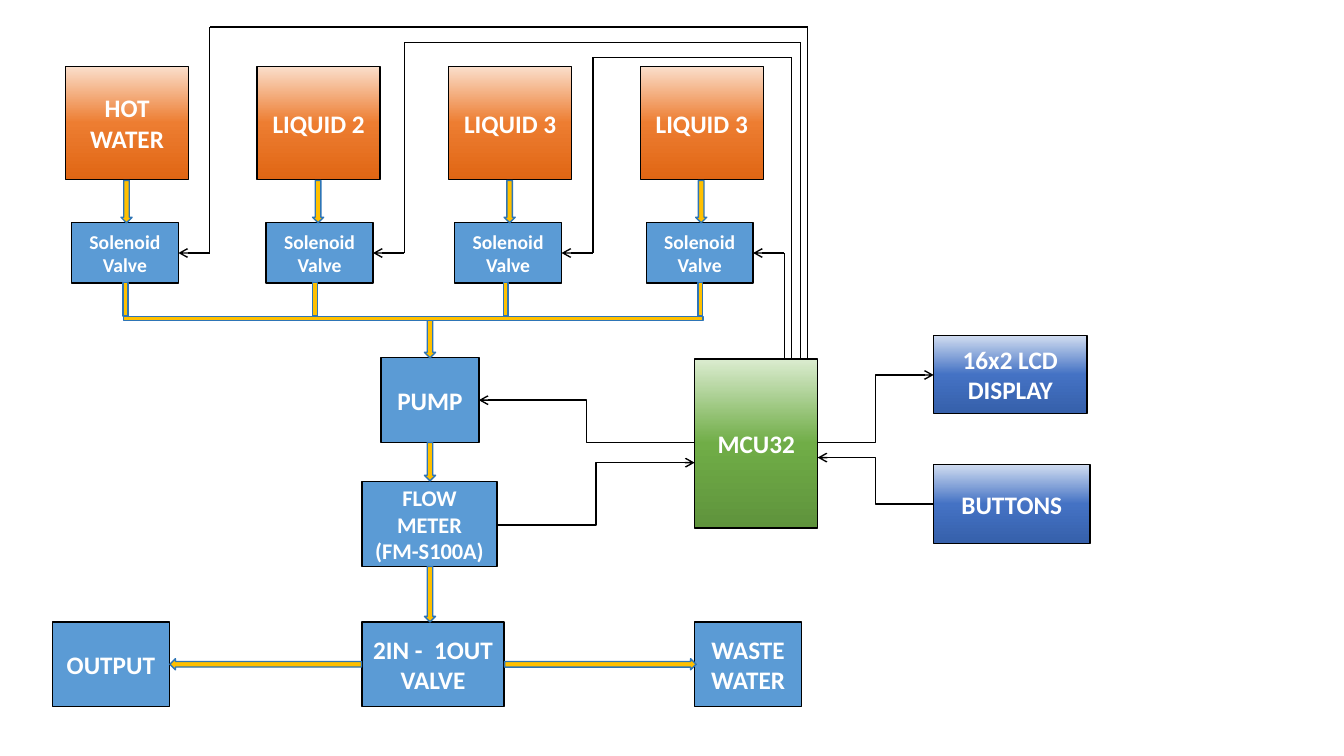
from copy import deepcopy
from itertools import pairwise

from lxml.etree import SubElement
from pptx import Presentation
from pptx.dml.color import RGBColor
from pptx.enum.shapes import MSO_CONNECTOR as Link, MSO_SHAPE as Shape
from pptx.enum.text import MSO_ANCHOR, PP_ALIGN
from pptx.oxml.ns import qn
from pptx.util import Inches, Pt

COLORS = {
    "black": "000000", "white": "FFFFFF", "blue": "5B9BD5",
    "pipe": "FFC000", "pipe edge": "2E75B6",
}
GRADIENTS = {
    "orange": ("FADECB", "ED7D31", "E06614"),
    "navy": ("D0DCF0", "4472C4", "3660AB"),
    "green": ("DBECD0", "70AD47", "5F933C"),
}

prs = Presentation()
prs.slide_width, prs.slide_height = Inches(13.33), Inches(7.5)
shapes = prs.slides.add_slide(prs.slide_layouts[6]).shapes


def add_part(kind, frame, fill, edge, text="", size=18, turn=0):
    """Draw a filled shape; fill is a key of COLORS or of GRADIENTS."""
    part = shapes.add_shape(kind, *map(Inches, frame))
    part.shadow.inherit = False
    part.rotation = turn
    part.line.color.rgb = RGBColor.from_string(COLORS[edge])
    part.line.width = Pt(1)
    if fill in GRADIENTS:
        part.fill.gradient()
        part.fill.gradient_angle = 270
        stop_list = part.fill._xPr.find(qn("a:gradFill")).find(qn("a:gsLst"))
        stop_list.append(deepcopy(stop_list[-1]))
        for i, tone in enumerate(GRADIENTS[fill]):
            stop = part.fill.gradient_stops[i]
            stop.position = i / 2
            stop.color.rgb = RGBColor.from_string(tone)
    else:
        part.fill.solid()
        part.fill.fore_color.rgb = RGBColor.from_string(COLORS[fill])
    if text:
        frame_text = part.text_frame
        frame_text.word_wrap = True
        frame_text.vertical_anchor = MSO_ANCHOR.MIDDLE
        frame_text.text = text
        for paragraph in frame_text.paragraphs:
            paragraph.alignment = PP_ALIGN.CENTER
            font = paragraph.font
            font.name, font.size, font.bold = "Calibri", Pt(size), True
            font.color.rgb = RGBColor.from_string(COLORS["white"])
    return part


def add_wire(kind, start, end, arrow=True):
    wire = shapes.add_connector(kind, *map(Inches, (*start, *end)))
    wire.line.color.rgb = RGBColor.from_string(COLORS["black"])
    wire.line.width = Pt(1)
    if arrow:
        SubElement(wire.line._get_or_add_ln(), qn("a:tailEnd"), type="arrow")
    SubElement(wire._element.spPr, qn("a:effectLst"))


# Tanks, each feeding the valve below it
TANK_LEFT, TANK_STEP = 0.65, 1.9
VALVE_WIDTH, VALVE_TOP, VALVE_HEIGHT = 1.06, 2.21, 0.6
PIPE = 0.11
tanks = ["HOT WATER", "LIQUID 2", "LIQUID 3", "LIQUID 3"]
valve_lefts = [0.71, 2.64, 4.51, 6.41]
for column, (tank, valve_left) in enumerate(zip(tanks, valve_lefts)):
    tank_left = TANK_LEFT + column * TANK_STEP
    add_part(Shape.RECTANGLE, (tank_left, 0.66, 1.22, 1.12), "orange", "black", tank)
    add_part(Shape.RECTANGLE, (valve_left, VALVE_TOP, VALVE_WIDTH, VALVE_HEIGHT),
             "blue", "black", "Solenoid Valve", 14)
    add_part(Shape.DOWN_ARROW, (tank_left + 0.55, 1.79, PIPE, 0.42), "pipe", "pipe edge")

# Controller, peripherals and flow path
boxes = [
    ("16x2 LCD\nDISPLAY", (9.26, 3.33, 1.52, 0.77), "navy", 18),
    ("BUTTONS", (9.26, 4.61, 1.55, 0.78), "navy", 18),
    ("MCU32", (6.89, 3.56, 1.22, 1.68), "green", 18),
    ("PUMP", (3.78, 3.55, 0.97, 0.84), "blue", 18),
    ("FLOW\nMETER\n(FM-S100A)", (3.59, 4.78, 1.34, 0.84), "blue", 16),
    ("OUTPUT", (0.52, 6.17, 1.16, 0.84), "blue", 18),
    ("WASTE WATER", (6.89, 6.17, 1.06, 0.84), "blue", 18),
    ("2IN -  1OUT\nVALVE", (3.59, 6.17, 1.41, 0.84), "blue", 18),
]
for text, frame, fill, size in boxes:
    add_part(Shape.RECTANGLE, frame, fill, "black", text, size)

for top, length in [(3.16, 0.39), (4.39, 0.38), (5.62, 0.55)]:
    add_part(Shape.DOWN_ARROW, (4.21, top, PIPE, length), "pipe", "pipe edge")
for left, turn in [(2.58, 90), (5.9, 270)]:
    add_part(Shape.DOWN_ARROW, (left, 5.64, PIPE, 1.9), "pipe", "pipe edge", turn=turn)

# Manifold that joins the valve outlets
add_part(Shape.MATH_MINUS, (0.19, 3.07, 7.82, 0.18), "pipe", "pipe edge")
for outlet_left in [1.02, 2.9, 4.79, 6.72]:
    add_part(Shape.MATH_MINUS, (outlet_left, 2.87, 0.45, 0.2), "pipe", "pipe edge", turn=90)

# Signals between the controller and the other devices
signals = [
    ((8.11, 4.39), (9.26, 3.72)),
    ((9.26, 5), (8.11, 4.54)),
    ((4.93, 5.21), (6.89, 4.59)),
    ((6.89, 4.39), (4.75, 3.97)),
]
for start, end in signals:
    add_wire(Link.ELBOW, start, end)

# Control wires from the controller up and over to each valve
WIRE_START, VALVE_ENTRY = 3.55, 2.51
routes = [(8.01, 0.27, 2.08), (7.94, 0.42, 4.01), (7.85, 0.57, 5.88),
          (7.78, VALVE_ENTRY, None)]
for (lane, top, drop), valve_left in zip(routes, valve_lefts):
    corners = [(lane, WIRE_START), (lane, top)]
    if drop:
        corners += [(drop, top), (drop, VALVE_ENTRY)]
    corners.append((valve_left + VALVE_WIDTH, VALVE_ENTRY))
    for start, end in pairwise(corners):
        add_wire(Link.STRAIGHT, start, end, arrow=end == corners[-1])

prs.save("out.pptx")
